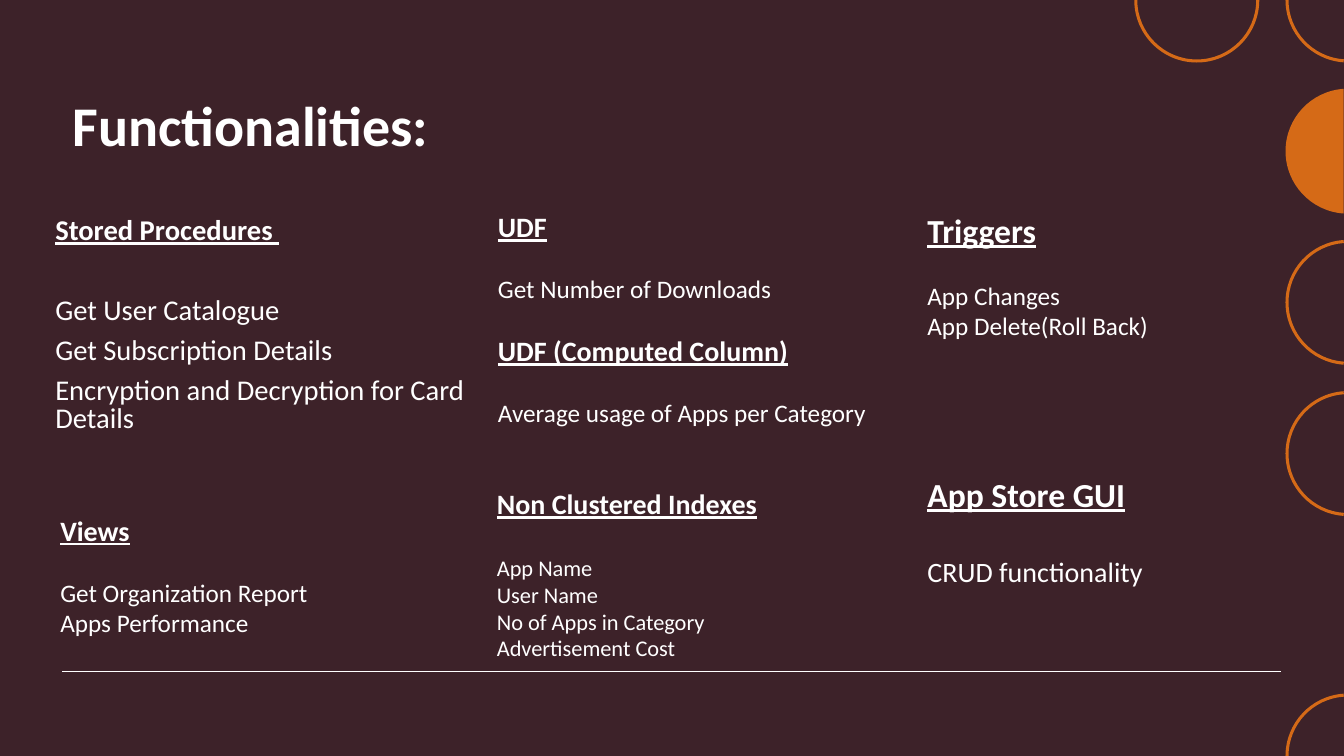
from dataclasses import dataclass
from math import cos, radians, sin, tan

from lxml.etree import SubElement
from pptx import Presentation
from pptx.dml.color import RGBColor
from pptx.enum.shapes import MSO_CONNECTOR
from pptx.enum.text import MSO_ANCHOR
from pptx.oxml.ns import qn
from pptx.util import Inches, Pt


@dataclass(frozen=True)
class Theme:
    font: str = "Calibri"
    ground: RGBColor = RGBColor(0x3D, 0x22, 0x29)
    accent: RGBColor = RGBColor(0xD5, 0x6A, 0x17)
    ink: RGBColor = RGBColor(0xFF, 0xFF, 0xFF)
    title: float = 40
    large: float = 24
    body: float = 20.4
    medium: float = 20
    normal: float = 18
    small: float = 16
    line_height: float = 1.2


class SlideBuilder:
    """Draws styled elements on one slide."""

    def __init__(self, page, theme):
        self.page = page
        self.theme = theme
        fill = page.background.fill
        fill.solid()
        fill.fore_color.rgb = theme.ground

    def text(self, at, paragraphs):
        box = self.page.shapes.add_textbox(*map(Inches, at))
        frame = box.text_frame
        frame.word_wrap = True
        frame.vertical_anchor = MSO_ANCHOR.TOP
        for index, (words, font, spacing) in enumerate(paragraphs):
            para = frame.add_paragraph() if index else frame.paragraphs[0]
            span = para.add_run()
            span.text = words
            span.font.color.rgb = self.theme.ink
            for target, values in ((span.font, font), (para, spacing)):
                for name, value in values.items():
                    setattr(target, name, value)

    def title(self, at, words):
        font = {"name": self.theme.font, "size": Pt(self.theme.title), "bold": True}
        self.text(at, [(words, font, {})])

    def section(self, at, groups, heading_size, item_size, gap_size, spacing=None, before=0):
        face = self.theme.font
        heading = {"name": face, "size": Pt(heading_size), "bold": True, "underline": True}
        item = {"name": face, "size": Pt(item_size), "bold": False, "underline": False}
        blank = gap_size * self.theme.line_height * (spacing or 1) + before
        paragraphs = []
        for group, (name, items) in enumerate(groups):
            for index, words in enumerate([name, *items]):
                gap = blank if index == 1 or (group and index == 0) else 0
                layout = {"line_spacing": spacing, "space_before": Pt(before + gap)}
                paragraphs.append((words, item if index else heading, layout))
        self.text(at, paragraphs)

    def arc(self, center, angles, radius):
        def place(angle, reach=0.0):
            turn = radians(angle)
            across = cos(turn) - reach * sin(turn)
            down = sin(turn) + reach * cos(turn)
            return (Inches(center[0] + radius * across), Inches(center[1] + radius * down))

        points = [place(angles[0])]
        for start, end in zip(angles, angles[1:]):
            reach = 4 / 3 * tan(radians(end - start) / 4)
            points += [place(start, reach), place(end, -reach), place(end)]
        return points

    def circle(self, center, angles, outer, inner=0):
        points = self.arc(center, angles, outer)
        if inner:
            points += self.arc(center, angles[::-1], inner)
        builder = self.page.shapes.build_freeform(*points[0])
        builder.add_line_segments(points[1:], close=True)
        shape = builder.convert_to_shape()
        self.bend(shape, 3 * (len(angles) - 1))
        shape.shadow.inherit = False
        shape.fill.solid()
        shape.fill.fore_color.rgb = self.theme.accent
        shape.line.fill.background()

    def bend(self, shape, count):
        steps = list(shape._element.iter(qn("a:lnTo")))
        for side in (steps[:count], steps[count + 1:]):
            for first in range(0, len(side), 3):
                curve, *others = side[first:first + 3]
                curve.tag = qn("a:cubicBezTo")
                for other in others:
                    curve.append(other[0])
                    other.getparent().remove(other)

    def rule(self, left, right, top):
        ends = map(Inches, (left, top, right, top))
        line = self.page.shapes.add_connector(MSO_CONNECTOR.STRAIGHT, *ends)
        line.line.color.rgb = self.theme.ink
        line.line.width = Pt(1)
        SubElement(line._element.spPr, qn("a:effectLst"))


def main():
    deck = Presentation()
    deck.slide_width, deck.slide_height = Inches(13.33), Inches(7.5)
    theme = Theme()
    slide = SlideBuilder(deck.slides.add_slide(deck.slide_layouts[6]), theme)

    edge, pitch, outer, inner = 13.37, 1.5, 0.62, 0.59
    left_half = (94, 180, 266)
    slide.circle((edge, pitch), left_half, outer)
    slide.circle((edge - pitch, 0), (0, 90, 180), outer, inner)
    slide.circle((edge, 0), left_half[:2], outer, inner)
    for row in (2, 3):
        slide.circle((edge, row * pitch), left_half, outer, inner)
    slide.circle((edge, 5 * pitch), left_half[1:], outer, inner)

    slide.title((0.62, 0.85, 11.08, 1.16), "Functionalities:")
    slide.section(
        (0.45, 2.12, 4.38, 2.23),
        [("Stored Procedures ", ["Get User Catalogue", "Get Subscription Details",
                                 "Encryption and Decryption for Card Details"])],
        theme.body, theme.body, theme.body, spacing=0.8, before=9)
    slide.rule(0.62, 12.71, 6.66)
    slide.section(
        (4.84, 2.03, 3.98, 2.59),
        [("UDF", ["Get Number of Downloads"]),
         ("UDF (Computed Column)", ["Average usage of Apps per Category"])],
        theme.medium, theme.normal, theme.normal)
    slide.section(
        (9.1, 2.03, 3.2, 1.72),
        [("Triggers", ["App Changes", "App Delete(Roll Back)"])],
        theme.large, theme.normal, theme.normal)
    slide.section(
        (0.5, 5.04, 3.43, 1.35),
        [("Views", ["Get Organization Report", "Apps Performance"])],
        theme.medium, theme.normal, theme.normal)
    slide.section(
        (9.1, 4.65, 3.08, 1.25),
        [("App Store GUI", ["CRUD functionality"])],
        theme.large, theme.medium, theme.large)
    slide.section(
        (4.83, 4.78, 3.7, 1.88),
        [("Non Clustered Indexes", ["App Name", "User Name", "No of Apps in Category",
                                    "Advertisement Cost"])],
        theme.medium, theme.small, theme.medium)
    deck.save("out.pptx")


if __name__ == "__main__":
    main()
